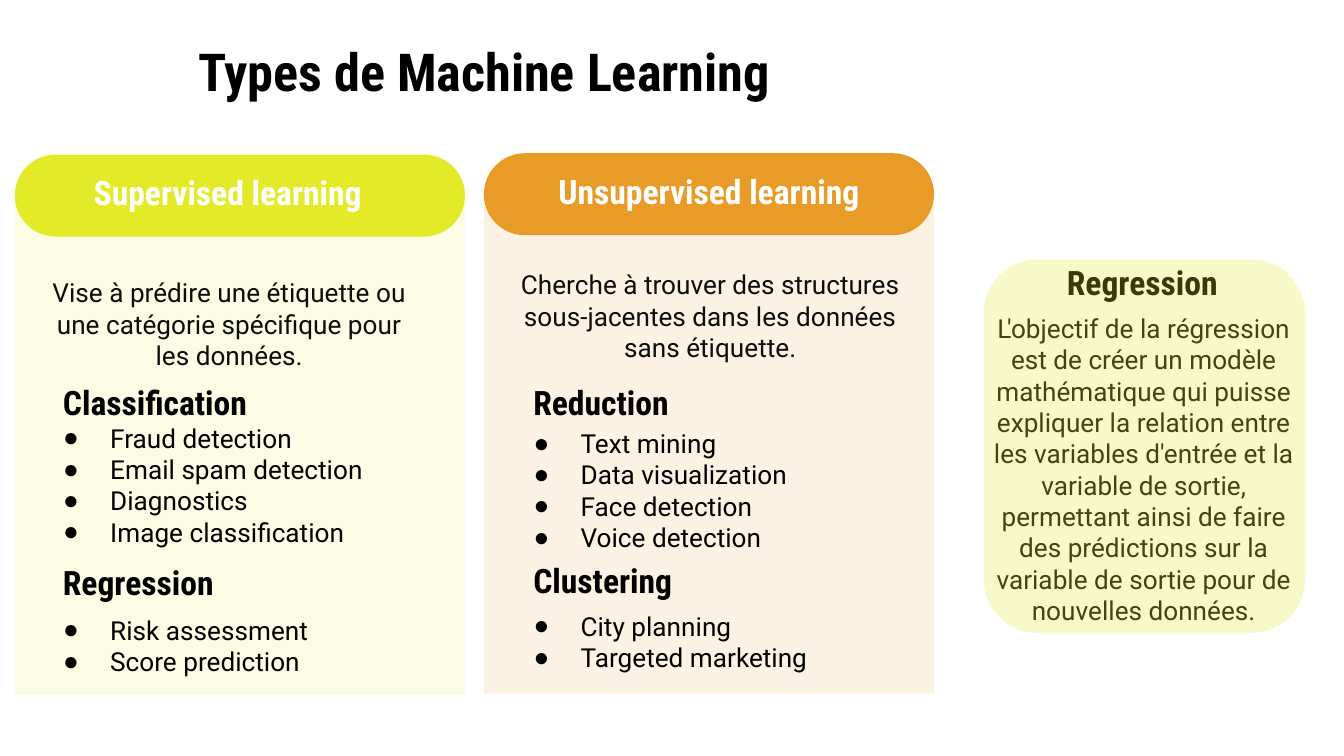
from pptx import Presentation
from pptx.dml.color import RGBColor
from pptx.enum.shapes import MSO_SHAPE
from pptx.enum.text import MSO_ANCHOR, MSO_AUTO_SIZE, PP_ALIGN
from pptx.oxml.xmlchemy import OxmlElement
from pptx.util import Inches, Pt

HEAD, BODY = "Roboto Condensed", "Roboto"
LEFT, MID = PP_ALIGN.LEFT, PP_ALIGN.CENTER
TOP, HALF = MSO_ANCHOR.TOP, MSO_ANCHOR.MIDDLE
LIME, AMBER = "E4EA27", "E99B27"

# A 16:9 slide
deck = Presentation()
deck.slide_width = Inches(10)
deck.slide_height = Inches(10 * 9 / 16)
slide = deck.slides.add_slide(deck.slide_layouts[4])
title, *lists = slide.placeholders


def panel(kind, box, color, alpha=100, round=None):
    shape = slide.shapes.add_shape(kind, *map(Inches, box))
    shape.shadow.inherit = False
    shape.line.fill.background()
    shape.fill.solid()
    shape.fill.fore_color.rgb = RGBColor.from_string(color)
    if round:
        shape.adjustments[0] = round
    if alpha < 100:
        node = OxmlElement("a:alpha")
        node.set("val", str(alpha * 1000))
        shape._element.spPr.find(".//{*}srgbClr").append(node)


def write(box, lines, size, font, color="000000", align=LEFT, anchor=HALF,
          hold=None, bullet=False):
    box = [Inches(n) for n in box]
    if hold is None:
        hold = slide.shapes.add_textbox(*box)
    else:
        hold.left, hold.top, hold.width, hold.height = box
    frame = hold.text_frame
    frame.auto_size, frame.word_wrap = MSO_AUTO_SIZE.NONE, True
    frame.vertical_anchor = anchor
    frame.margin_left = frame.margin_right = Inches(0.1)
    frame.margin_top = frame.margin_bottom = Inches(0.1)
    for i, line in enumerate(lines):
        para = frame.add_paragraph() if i else frame.paragraphs[0]
        para.alignment = align
        para.space_before = para.space_after = Pt(0)
        run = para.add_run()
        run.text = line
        run.font.size, run.font.name = Pt(size), font
        run.font.bold = font == HEAD
        run.font.color.rgb = RGBColor.from_string(color)
        if bullet:
            props = para._p.get_or_add_pPr()
            props.set("marL", str(Inches(0.35)))
            props.set("indent", str(-Inches(0.35)))
            mark = OxmlElement("a:buChar")
            mark.set("char", "●")
            props.append(mark)


# Title
write((-0.9, 0.32, 9, 0.41), ["Types de Machine Learning"], 28, HEAD,
      align=MID, hold=title)

# Two columns: left, top, color, name, name box, goal, goal box, topics
cols = [
    (0.11, 1.15, LIME, "Supervised learning", (0.29, 1.25, 2.81, 0.36),
     "Vise à prédire une étiquette ou une catégorie spécifique pour "
     "les données.", (0.26, 1.96, 2.89, 0.61),
     [("Classification", 2.81, 3.04,
       ["Fraud detection", "Email spam detection", "Diagnostics",
        "Image classification"]),
      ("Regression", 4.15, 4.47, ["Risk assessment", "Score prediction"])]),
    (3.6, 1.14, AMBER, "Unsupervised learning", (3.87, 1.24, 2.81, 0.36),
     "Cherche à trouver des structures sous-jacentes dans les données "
     "sans étiquette.", (3.72, 1.9, 3.13, 0.61),
     [("Reduction", 2.81, 3.08,
       ["Text mining", "Data visualization", "Face detection",
        "Voice detection"]),
      ("Clustering", 4.14, 4.44, ["City planning", "Targeted marketing"])]),
]
for c, (x, y, color, name, spot, goal, room, topics) in enumerate(cols):
    # Tinted card with its pill header
    panel(MSO_SHAPE.RECTANGLE, (x, y + 0.29, 3.35, 3.73), color, 13)
    panel(MSO_SHAPE.ROUNDED_RECTANGLE, (x, y, 3.35, 0.61), color, round=0.5)
    write(spot, [name], 18, HEAD, "FFFFFF", MID)
    write(room, [goal], 14, BODY, "0D0D0D", MID, TOP)
    # Topics, each with its list
    edge = 0.37 + 3.5 * c
    for t, (topic, high, low, items) in enumerate(topics):
        write((edge, high, 2.66, 0.36), [topic], 18, HEAD)
        hold = lists[2 * c + t]
        write((edge, low, 2.81, 0.31 * len(items)), items, 14, BODY,
              anchor=TOP, hold=hold, bullet=True)
        # Keep the list above its card
        slide.shapes._spTree.append(hold._element)

# Side note under a tinted veil
write((7.84, 1.94, 2.17, 0.31), ["Regression"], 18, HEAD)
write((7.22, 2.7, 2.58, 1.58),
      ["L'objectif de la régression est de créer un modèle mathématique qui "
       "puisse expliquer la relation entre les variables d'entrée et la "
       "variable de sortie, permettant ainsi de faire des prédictions sur la "
       "variable de sortie pour de nouvelles données."],
      14, BODY, "0D0D0D", MID)
panel(MSO_SHAPE.ROUNDED_RECTANGLE, (7.32, 1.93, 2.39, 2.78), LIME, 25, 0.167)

deck.save("out.pptx")
